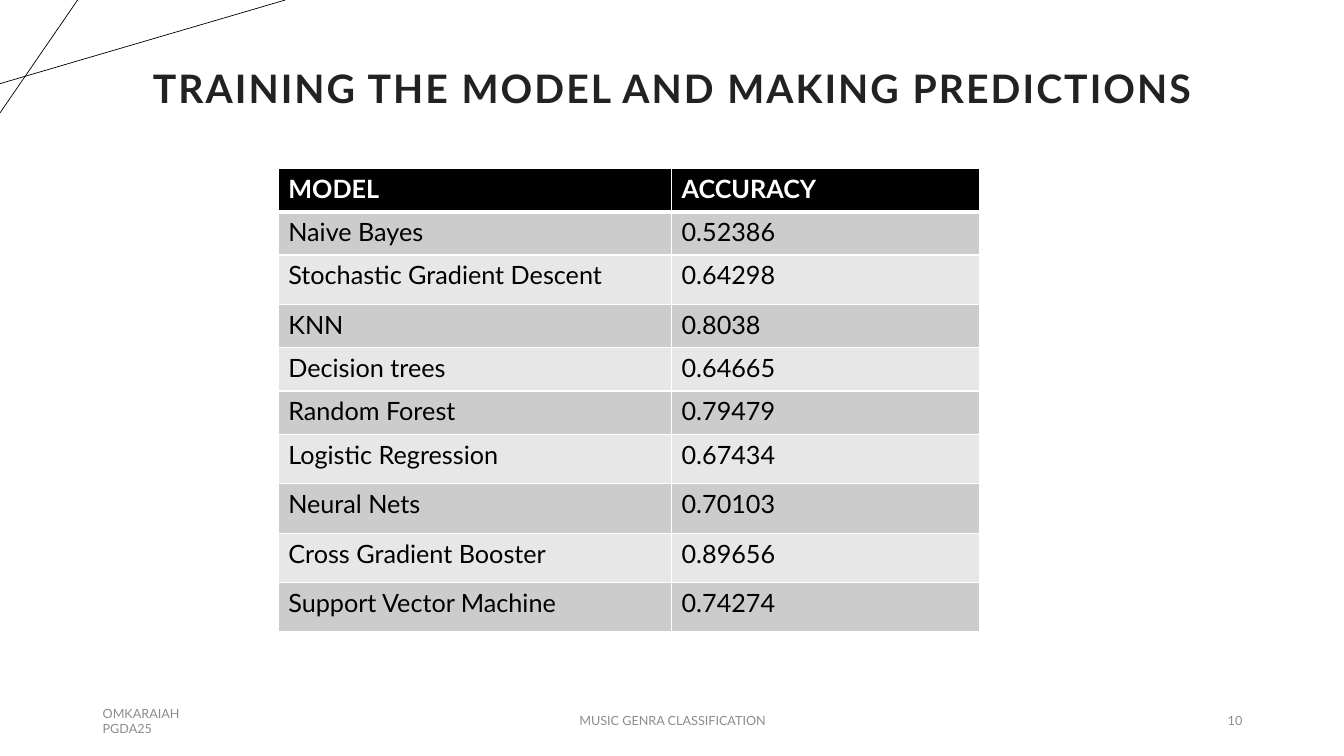
import pptx
import pptx.dml.color
import pptx.enum.shapes
import pptx.enum.text
import pptx.oxml
import pptx.oxml.ns
import pptx.util
from lxml import etree

PX = 9144  # 100 px to the inch
FONT = "Lato"
COLORS = {
    "black": "000000",
    "white": "FFFFFF",
    "title": "222222",
    "footer": "8C8C8C",
    "odd_row": "CCCCCC",
    "even_row": "E7E7E7",
}
ALIGN = pptx.enum.text.PP_ALIGN
MIDDLE = pptx.enum.text.MSO_ANCHOR.MIDDLE

CORNER_LINES = [((0, 83), (283, 0)), ((77, 0), (0, 112))]
FOOTERS = [
    ((92, 695, 300, 40), ["OMKARAIAH", "PGDA25"], ALIGN.LEFT),
    ((442, 695, 450, 40), ["MUSIC GENRA CLASSIFICATION"], ALIGN.CENTER),
    ((942, 695, 300, 40), ["10"], ALIGN.RIGHT),
]
COLUMN_WIDTHS = [390, 306]
# Model, accuracy, row height
ACCURACY_ROWS = [
    ("MODEL", "ACCURACY", 43),
    ("Naive Bayes", "0.52386", 43),
    ("Stochastic Gradient Descent", "0.64298", 49),
    ("KNN", "0.8038", 43),
    ("Decision trees", "0.64665", 43),
    ("Random Forest", "0.79479", 43),
    ("Logistic Regression", "0.67434", 49),
    ("Neural Nets", "0.70103", 49),
    ("Cross Gradient Booster", "0.89656", 49),
    ("Support Vector Machine", "0.74274", 49),
]


def px(*lengths):
    return [pptx.util.Emu(length * PX) for length in lengths]


def rgb(name):
    return pptx.dml.color.RGBColor.from_string(COLORS[name])


def add_run(paragraph, text, size, color, bold=False):
    run = paragraph.add_run()
    run.text = text
    run.font.name = FONT
    run.font.size = pptx.util.Pt(size)
    run.font.bold = bold
    run.font.color.rgb = rgb(color)
    return run


def add_line(slide, start, end):
    line = slide.shapes.add_connector(
        pptx.enum.shapes.MSO_CONNECTOR.STRAIGHT, *px(*start, *end))
    line.line.color.rgb = rgb("black")
    line.line.width = pptx.util.Pt(0.5)
    etree.SubElement(line._element.spPr, pptx.oxml.ns.qn("a:effectLst"))


def set_title(slide, text):
    title = slide.shapes.title
    title.left, title.top, title.width, title.height = px(92, 40, 1150, 100)
    title.text_frame.vertical_anchor = MIDDLE
    paragraph = title.text_frame.paragraphs[0]
    paragraph.alignment = ALIGN.CENTER
    paragraph.line_spacing = 0.9
    run = add_run(paragraph, text, 28, "title", bold=True)
    run._r.get_or_add_rPr().set("spc", "150")


def add_footer(slide, box, lines, alignment):
    frame = slide.shapes.add_textbox(*px(*box)).text_frame
    frame.word_wrap = True
    frame.vertical_anchor = MIDDLE
    for index, text in enumerate(lines):
        paragraph = frame.add_paragraph() if index else frame.paragraphs[0]
        paragraph.alignment = alignment
        add_run(paragraph, text, 9, "footer")


def set_borders(cell, widths):
    """Draw white borders; widths are points by side."""
    properties = cell._tc.get_or_add_tcPr()
    for side, width in widths.items():
        properties.append(pptx.oxml.parse_xml(
            f'<a:ln{side} {pptx.oxml.ns.nsdecls("a")} w="{pptx.util.Pt(width)}">'
            f'<a:solidFill><a:srgbClr val="{COLORS["white"]}"/></a:solidFill>'
            f'</a:ln{side}>'))


def add_accuracy_table(slide, left, top):
    heights = [row[2] for row in ACCURACY_ROWS]
    table = slide.shapes.add_table(
        len(ACCURACY_ROWS), len(COLUMN_WIDTHS),
        *px(left, top, sum(COLUMN_WIDTHS), sum(heights))).table
    for column, width in zip(table.columns, px(*COLUMN_WIDTHS)):
        column.width = width
    for index, (model, accuracy, height) in enumerate(ACCURACY_ROWS):
        header = index == 0
        fill = "black" if header else "odd_row" if index % 2 else "even_row"
        table.rows[index].height = px(height)[0]
        for cell, text in zip(table.rows[index].cells, (model, accuracy)):
            # Borders come before the fill in a cell's properties
            set_borders(cell, {"L": 1, "R": 1, "T": 3 if index == 1 else 1,
                               "B": 3 if header else 1})
            cell.fill.solid()
            cell.fill.fore_color.rgb = rgb(fill)
            add_run(cell.text_frame.paragraphs[0], text, 18,
                    "white" if header else "black", bold=header)


def main():
    presentation = pptx.Presentation()
    presentation.slide_width, presentation.slide_height = px(1333, 750)
    slide = presentation.slides.add_slide(presentation.slide_layouts[5])

    # Corner decoration
    for start, end in CORNER_LINES:
        add_line(slide, start, end)

    # Title and results
    set_title(slide, "TRAINING THE MODEL AND MAKING PREDICTIONS")
    add_accuracy_table(slide, 276, 167)

    # Footer
    for box, lines, alignment in FOOTERS:
        add_footer(slide, box, lines, alignment)

    presentation.save("out.pptx")


if __name__ == "__main__":
    main()
